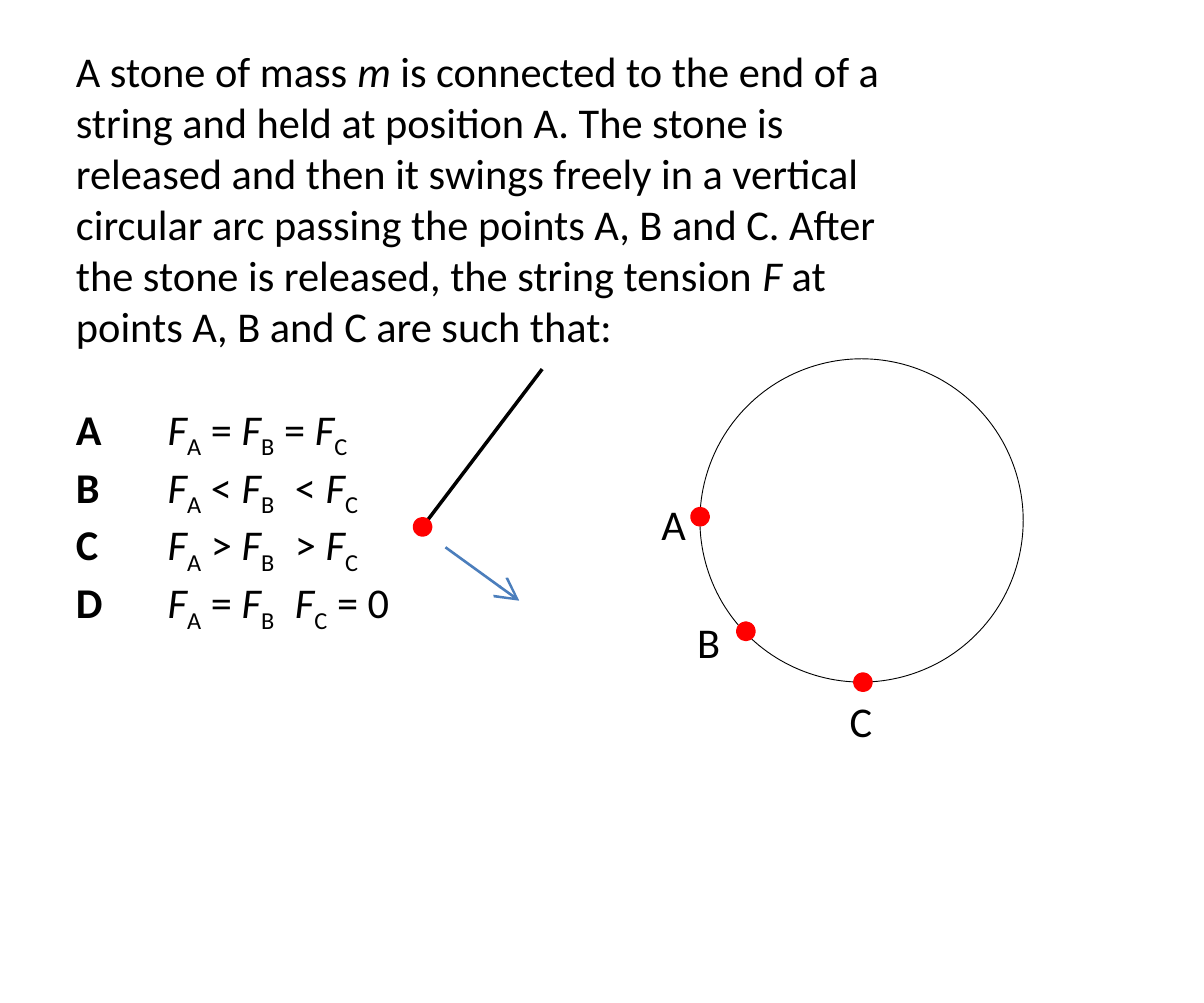
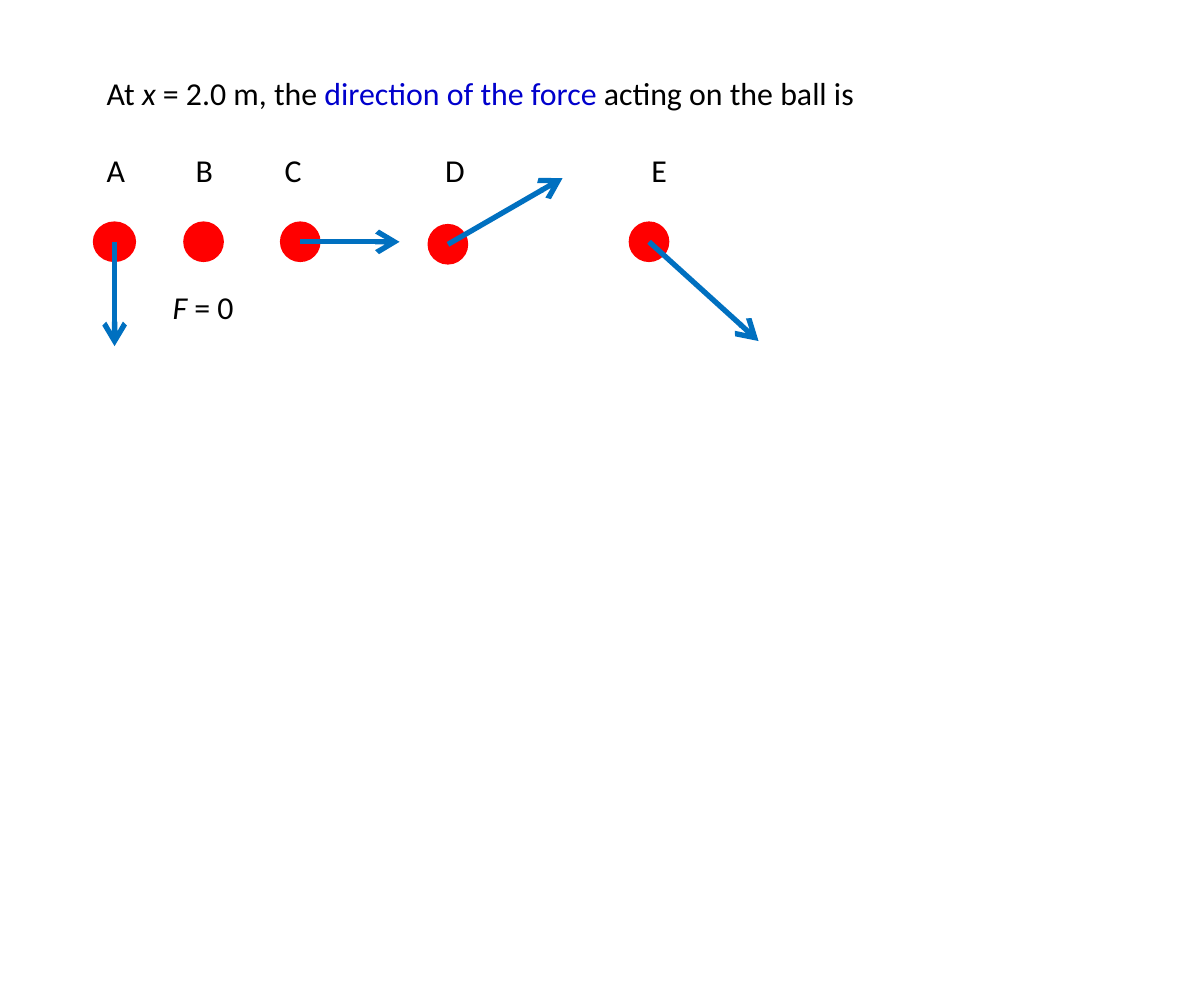
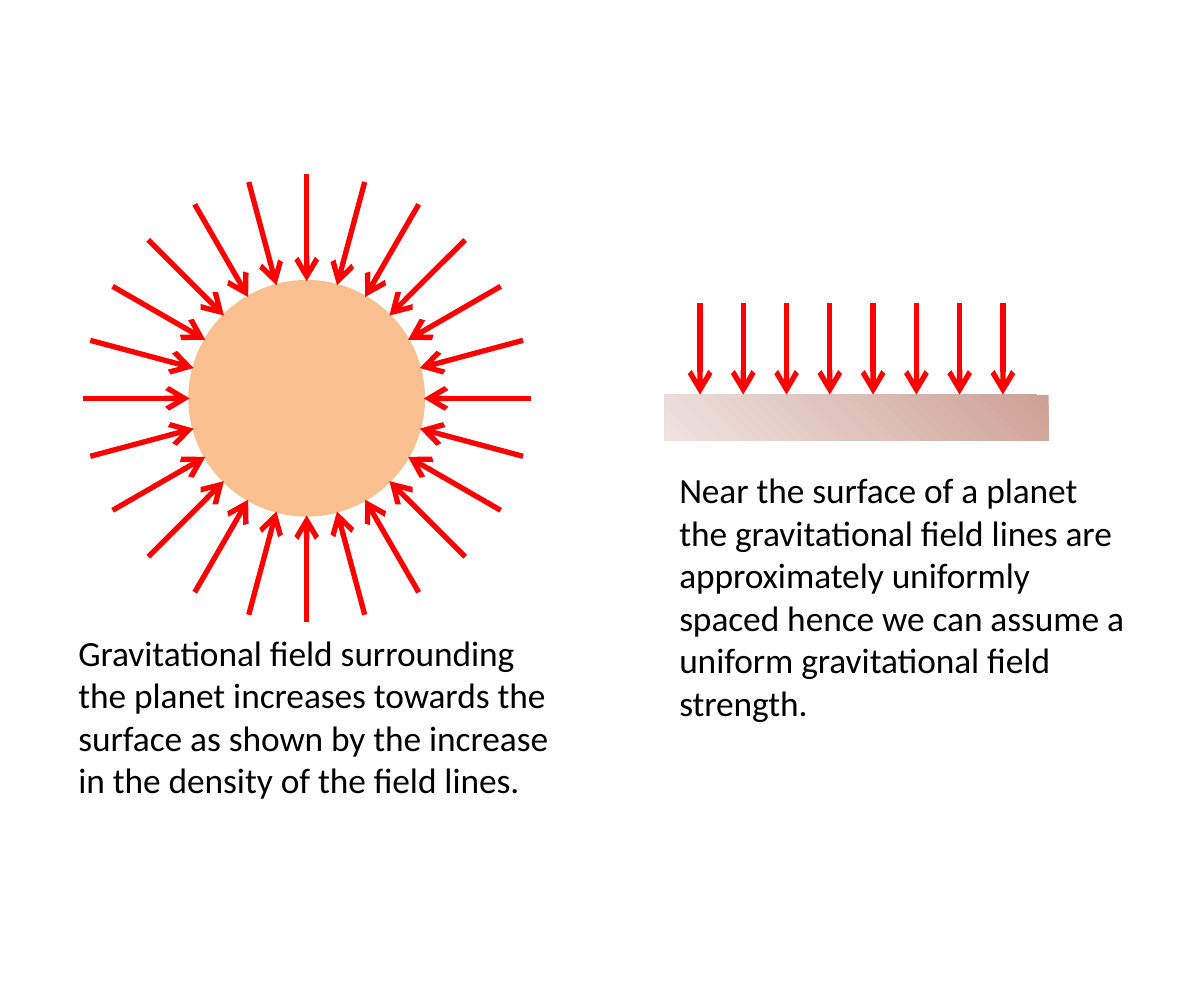
from dataclasses import dataclass
from math import cos, pi, sin

from lxml.etree import SubElement
from pptx import Presentation
from pptx.dml.color import RGBColor
from pptx.enum.shapes import MSO_CONNECTOR, MSO_SHAPE
from pptx.oxml.ns import qn
from pptx.util import Inches, Pt


@dataclass(frozen=True)
class Theme:
    font: str = "Calibri"
    question: float = 12
    choice: float = 9
    caption: float = 10
    thin: float = 0.25
    motion: float = 0.75
    string: float = 1
    force: float = 1.5
    rim: float = 2
    black: RGBColor = RGBColor.from_string("000000")
    red: RGBColor = RGBColor.from_string("FF0000")
    highlight: RGBColor = RGBColor.from_string("0000CC")
    motion_blue: RGBColor = RGBColor.from_string("4B7EBC")
    force_blue: RGBColor = RGBColor.from_string("0070C0")
    planet: RGBColor = RGBColor.from_string("FAC090")
    ground_dark: RGBColor = RGBColor.from_string("CEA095")
    ground_light: RGBColor = RGBColor.from_string("EFE3E0")


THEME = Theme()


def add_text(page, left, top, width, height, paragraphs, size, wrap=True, tabs=(), gap=0):
    box = page.shapes.add_textbox(Inches(left), Inches(top), Inches(width), Inches(height))
    frame = box.text_frame
    frame.word_wrap = wrap
    for index, spans in enumerate(paragraphs):
        para = frame.paragraphs[0] if index == 0 else frame.add_paragraph()
        if index == 1:
            para.space_before = Pt(gap)
        if index and tabs:
            tab_list = SubElement(para._p.get_or_add_pPr(), qn("a:tabLst"))
            for stop in tabs:
                SubElement(tab_list, qn("a:tab"), pos=str(Inches(stop)), algn="l")
        para.font.name = THEME.font
        para.font.size = Pt(size)
        para.font.color.rgb = THEME.black
        for text, style in spans:
            span = para.add_run()
            span.text = text
            if style == "italic":
                span.font.italic = True
            elif style == "bold":
                span.font.bold = True
            elif style == "highlight":
                span.font.color.rgb = THEME.highlight
            elif style == "sub":
                span._r.get_or_add_rPr().set("baseline", "-25000")
    return box


def add_line(shapes, start, end, color, width, arrow=True):
    points = [Inches(value) for value in (*start, *end)]
    line = shapes.add_connector(MSO_CONNECTOR.STRAIGHT, *points)
    line.line.color.rgb = color
    line.line.width = Pt(width)
    if arrow:
        SubElement(line.line._get_or_add_ln(), qn("a:tailEnd"), type="arrow")
    SubElement(line._element.spPr, qn("a:effectLst"))


def add_figure(shapes, kind, left, top, width, height, fill=None, line=None, line_width=0):
    figure = shapes.add_shape(kind, Inches(left), Inches(top), Inches(width), Inches(height))
    figure.shadow.inherit = False
    if fill is None:
        figure.fill.background()
    else:
        figure.fill.solid()
        figure.fill.fore_color.rgb = fill
    if line is None:
        figure.line.fill.background()
    else:
        figure.line.color.rgb = line
        figure.line.width = Pt(line_width)
    return figure


def add_stone(page, x, y, size=0.05):
    add_figure(page.shapes, MSO_SHAPE.OVAL, x - size / 2, y - size / 2, size, size,
               THEME.red, THEME.red, THEME.rim)


def tension(point):
    return [("F", "italic"), (point, "sub")]


def comparison(letter, first, second):
    return [(letter, "bold"), ("\t", ""), *tension("A"), (first, ""),
            *tension("B"), (second, ""), *tension("C")]


def add_question(page, left, top):
    question = [
        ("A stone of mass ", ""), ("m", "italic"),
        (" is connected to the end of a string and held at position A. The stone is released "
         "and then it swings freely in a vertical circular arc passing the points A, B and C. "
         "After the stone is released, the string tension ", ""),
        ("F", "italic"), (" at points A, B and C are such that:", ""),
    ]
    options = [
        comparison("A", " = ", " = "),
        comparison("B", " < ", "\t< "),
        comparison("C", " > ", "\t> "),
        comparison("D", " = ", "\t") + [(" = 0", "")],
    ]
    add_text(page, left, top, 3.51, 2.32, [question, *options], THEME.question,
             tabs=(0.36, 0.86), gap=14.65)


def add_pendulum(page, left, top):
    add_line(page.shapes, (left, top + 0.62), (left + 0.47, top), THEME.black, THEME.string, arrow=False)
    add_stone(page, left, top + 0.62)
    add_line(page.shapes, (left + 0.09, top + 0.7), (left + 0.38, top + 0.91),
             THEME.motion_blue, THEME.motion)


def add_circular_path(page, left, top, diameter):
    add_figure(page.shapes, MSO_SHAPE.OVAL, left, top, diameter, diameter,
               line=THEME.black, line_width=THEME.thin)
    points = [("A", 0, 0.62, -0.25, 0.5), ("B", 0.18, 1.07, -0.11, 0.96), ("C", 0.64, 1.27, 0.49, 1.27)]
    for name, x, y, label_x, label_y in points:
        add_stone(page, left + x, top + y)
        add_text(page, left + label_x, top + label_y, 0.3, 0.3, [[(name, "")]],
                 THEME.question, wrap=False)


def build_tension_slide(page):
    add_question(page, 0.2, 0.13)
    add_pendulum(page, 1.66, 1.45)
    add_circular_path(page, 2.75, 1.41, 1.27)


def add_ball(page, x, y, width, force):
    group = page.shapes.add_group_shape()
    height = 0.16
    add_figure(group.shapes, MSO_SHAPE.OVAL, x - width / 2, y - height / 2, width, height, THEME.red)
    if force:
        add_line(group.shapes, (x, y), (x + force[0], y + force[1]), THEME.force_blue, THEME.force)


def build_force_slide(page):
    question = [("At ", ""), ("x ", "italic"), ("= 2.0 m, the ", ""),
                ("direction of the force ", "highlight"), ("acting on the ball is", "")]
    add_text(page, 0.32, 0.24, 3.25, 0.56, [question, [("\t".join("ABCDE"), "")]],
             THEME.choice, tabs=(0.35, 0.7, 1.33, 2.14), gap=11)
    balls = [
        (0.45, 0.95, 0.17, (0, 0.41)),
        (0.8, 0.95, 0.16, None),
        (1.18, 0.95, 0.16, (0.39, 0)),
        (1.76, 0.96, 0.16, (0.45, -0.26)),
        (2.55, 0.95, 0.16, (0.43, 0.39)),
    ]
    for ball in balls:
        add_ball(page, *ball)
    add_text(page, 0.58, 1.08, 0.44, 0.25, [[("F", "italic"), (" = 0", "")]],
             THEME.choice, wrap=False)


def add_planet_field(page, left, top, diameter):
    center_x, center_y = left + diameter / 2, top + diameter / 2
    outer, inner, count = 0.88, 0.46, 24
    add_figure(page.shapes, MSO_SHAPE.OVAL, left, top, diameter, diameter, THEME.planet)
    field = page.shapes.add_group_shape()
    for index in range(count):
        angle = 2 * pi * index / count
        start, end = ((center_x + radius * cos(angle), center_y + radius * sin(angle))
                      for radius in (outer, inner))
        add_line(field.shapes, start, end, THEME.red, THEME.force)


def add_surface_field(page, left, top, width, height):
    ground = add_figure(page.shapes, MSO_SHAPE.RECTANGLE, left, top, width, height)
    ground.fill.gradient()
    ground.fill.gradient_angle = 225
    for stop, color in zip(ground.fill.gradient_stops, (THEME.ground_dark, THEME.ground_light)):
        stop.color.rgb = color
    count, margin, pitch = 8, 0.14, 0.17
    for index in range(count):
        x = left + margin + index * pitch
        add_line(page.shapes, (x, top - 0.36), (x, top), THEME.red, THEME.force)


def build_field_slide(page):
    add_planet_field(page, 0.74, 1.1, 0.93)
    add_surface_field(page, 2.61, 1.55, 1.51, 0.18)
    captions = [
        (0.21, 2.43, 2.1, 0.77,
         "Gravitational field surrounding the planet increases towards the surface as shown "
         "by the increase in the density of the field lines."),
        (2.57, 1.79, 1.95, 1.11,
         "Near the surface of a planet the gravitational field lines are approximately "
         "uniformly spaced hence we can assume a uniform gravitational field strength."),
    ]
    for left, top, width, height, caption in captions:
        add_text(page, left, top, width, height, [[(caption, "")]], THEME.caption)


def main():
    deck = Presentation()
    deck.slide_width, deck.slide_height = Inches(4.73), Inches(3.94)
    blank_layout = deck.slide_layouts[6]
    for build in (build_tension_slide, build_force_slide, build_field_slide):
        build(deck.slides.add_slide(blank_layout))
    deck.save("out.pptx")


if __name__ == "__main__":
    main()
